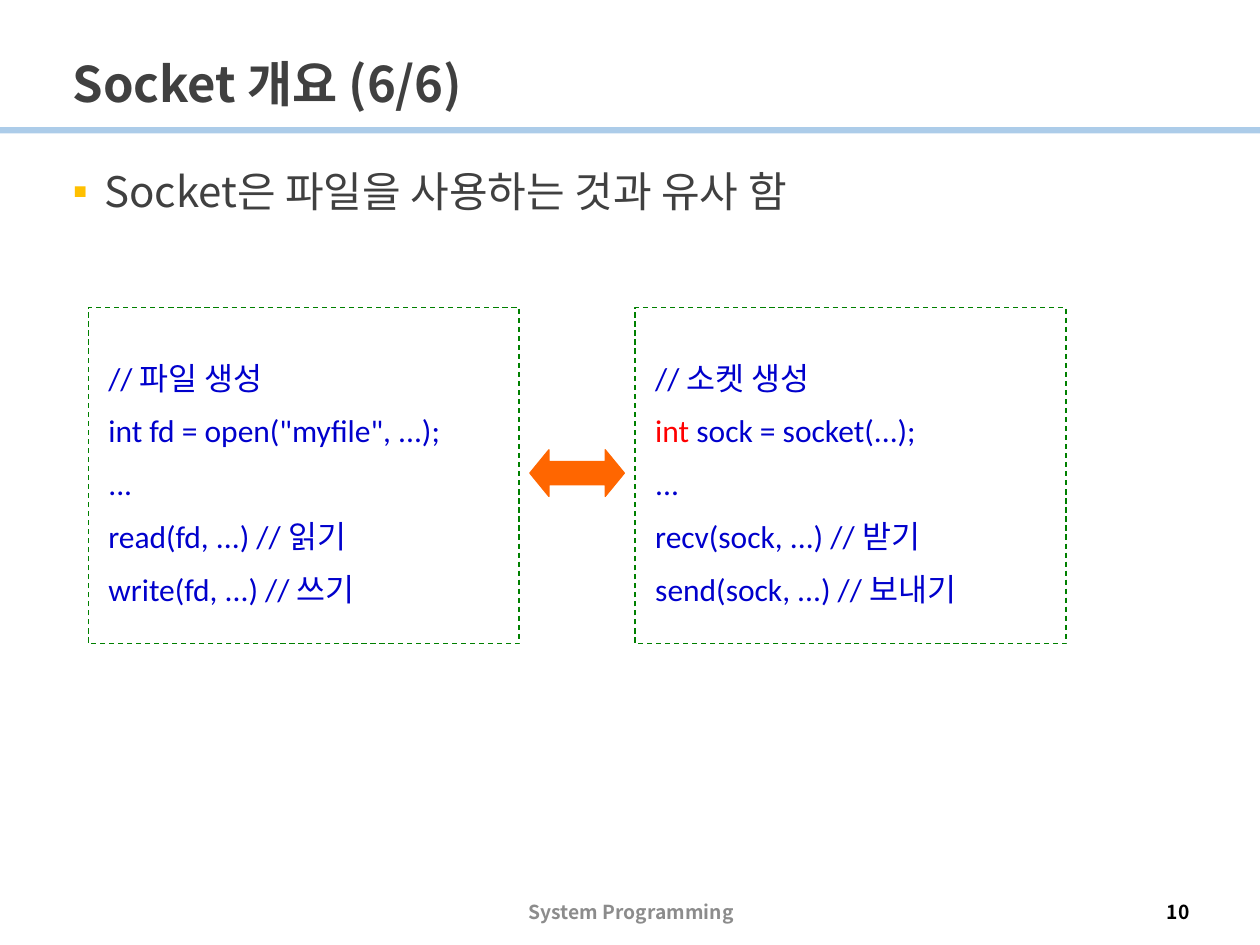
from dataclasses import dataclass

from lxml.etree import SubElement
from pptx import Presentation
from pptx.dml.color import RGBColor
from pptx.enum.dml import MSO_LINE
from pptx.enum.shapes import MSO_SHAPE as SHAPE
from pptx.enum.text import MSO_ANCHOR as ANCHOR, PP_ALIGN as ALIGN
from pptx.oxml.ns import qn
from pptx.util import Inches, Pt


@dataclass(frozen=True)
class Theme:
    """Colours, fonts and type sizes of the slide."""
    heading_font: str = "Noto Sans CJK KR"
    code_font: str = "Calibri"
    title_size: int = 28
    body_size: int = 24
    code_size: int = 18
    footer_size: int = 11
    ink: str = "404040"
    muted: str = "8C8C8C"
    black: str = "000000"
    rule: str = "5B9BD5"
    bullet: str = "FFC000"
    code: str = "0000CC"
    keyword: str = "FF0000"
    frame: str = "008000"
    arrow: str = "FF6600"


THEME = Theme()
FILE_CODE = [
    ["// 파일 생성"],
    ['int fd = open("myfile", ...);'],
    ["..."],
    ["read(fd, ...) // 읽기"],
    ["write(fd, ...) // 쓰기"],
]
SOCKET_CODE = [
    ["// 소켓 생성"],
    ["int ", "sock = socket(...);"],
    ["..."],
    ["recv(sock, ...) // 받기"],
    ["send(sock, ...) // 보내기"],
]


def style_run(run, font, size, color, bold=False):
    """Set the Latin and Korean fonts, size, colour and weight of a run."""
    run.font.name = font
    run.font.size = Pt(size)
    run.font.bold = bold
    run.font.color.rgb = RGBColor.from_string(color)
    SubElement(run.font._element, qn("a:ea"), typeface=THEME.heading_font)


def add_label(slide, box, text, size, color, bold=True, anchor=ANCHOR.MIDDLE, align=ALIGN.LEFT):
    """Place one line of heading type in a box and return its paragraph."""
    frame = slide.shapes.add_textbox(*map(Inches, box)).text_frame
    frame.word_wrap = True
    frame.vertical_anchor = anchor
    frame.text = text
    line = frame.paragraphs[0]
    line.alignment = align
    style_run(line.runs[0], THEME.heading_font, size, color, bold)
    return line


def add_header(slide, box, title):
    """Place the title and the translucent rule below it."""
    left, top, width, height = box
    rule_top = top + height + 0.06
    rule = slide.shapes.add_shape(SHAPE.RECTANGLE, 0, Inches(rule_top), Inches(10), Inches(0.05))
    rule.shadow.inherit = False
    rule.fill.solid()
    rule.fill.fore_color.rgb = RGBColor.from_string(THEME.rule)
    rule.line.fill.background()
    tint = rule._element.spPr.find(qn("a:solidFill")).find(qn("a:srgbClr"))
    SubElement(tint, qn("a:alpha"), val="50000")
    heading = add_label(slide, box, title, THEME.title_size, THEME.ink, anchor=ANCHOR.BOTTOM)
    heading.line_spacing = 0.9


def add_point(slide, box, text):
    """Place the bulleted statement."""
    point = add_label(slide, box, text, THEME.body_size, THEME.ink, bold=False, anchor=ANCHOR.TOP)
    point.line_spacing = 0.9
    point.space_before = Pt(10)
    props = point._p.get_or_add_pPr()
    props.set("marL", str(Inches(0.25)))
    props.set("indent", str(-Inches(0.25)))
    bullet_color = SubElement(props, qn("a:buClr"))
    SubElement(bullet_color, qn("a:srgbClr"), val=THEME.bullet)
    SubElement(props, qn("a:buFont"), typeface=THEME.code_font)
    SubElement(props, qn("a:buChar"), char="▪")


def add_code_panel(slide, box, lines):
    """Place a dashed panel of code, marking the first of two parts in a line."""
    panel = slide.shapes.add_shape(SHAPE.RECTANGLE, *map(Inches, box))
    panel.shadow.inherit = False
    panel.fill.background()
    panel.line.color.rgb = RGBColor.from_string(THEME.frame)
    panel.line.width = Pt(0.75)
    panel.line.dash_style = MSO_LINE.DASH
    frame = panel.text_frame
    frame.word_wrap = True
    frame.vertical_anchor = ANCHOR.MIDDLE
    frame.margin_left = Inches(0.16)
    for index, parts in enumerate(lines):
        line = frame.add_paragraph() if index else frame.paragraphs[0]
        line.alignment = ALIGN.LEFT
        line.line_spacing = 1.4
        for part in parts:
            run = line.add_run()
            run.text = part
            marked = len(parts) > 1 and part is parts[0]
            style_run(run, THEME.code_font, THEME.code_size, THEME.keyword if marked else THEME.code)


def add_comparison(slide, box, panel_width, file_code, socket_code):
    """Place two code panels at the sides of a box and an arrow between them."""
    left, top, width, height = box
    socket_left = left + width - panel_width
    add_code_panel(slide, (left, top, panel_width, height), file_code)
    add_code_panel(slide, (socket_left, top, panel_width, height), socket_code)
    arrow_width, arrow_height = 0.75, 0.37
    arrow_left = left + (width - arrow_width) / 2
    arrow_box = (arrow_left, top + 1.13, arrow_width, arrow_height)
    arrow = slide.shapes.add_shape(SHAPE.LEFT_RIGHT_ARROW, *map(Inches, arrow_box))
    arrow.shadow.inherit = False
    arrow.adjustments[0] = 0.5
    arrow.adjustments[1] = 0.41
    arrow.fill.solid()
    arrow.fill.fore_color.rgb = RGBColor.from_string(THEME.arrow)
    arrow.line.color.rgb = RGBColor.from_string(THEME.arrow)
    arrow.line.width = Pt(0.75)


def add_footer(slide, box, course, number):
    """Place the course name in the centre and the page number at the right."""
    left, top, width, height = box
    course_box = (left + (width - 3.38) / 2, top, 3.38, height)
    number_box = (left + width - 2.25, top, 2.25, height)
    add_label(slide, course_box, course, THEME.footer_size, THEME.muted, align=ALIGN.CENTER)
    add_label(slide, number_box, number, THEME.footer_size, THEME.black, align=ALIGN.RIGHT)


def main():
    """Build and save the slide."""
    deck = Presentation()
    deck.slide_width, deck.slide_height = Inches(10), Inches(7.5)
    slide = deck.slides.add_slide(deck.slide_layouts[6])
    add_header(slide, (0.48, 0.15, 9.06, 0.8), "Socket 개요 (6/6)")
    add_point(slide, (0.48, 1.31, 9.06, 5.71), "Socket은 파일을 사용하는 것과 유사 함")
    add_footer(slide, (0.48, 7.12, 9.06, 0.23), "System Programming", "10")
    add_comparison(slide, (0.7, 2.44, 7.76, 2.67), 3.42, FILE_CODE, SOCKET_CODE)
    deck.save("out.pptx")


if __name__ == "__main__":
    main()
